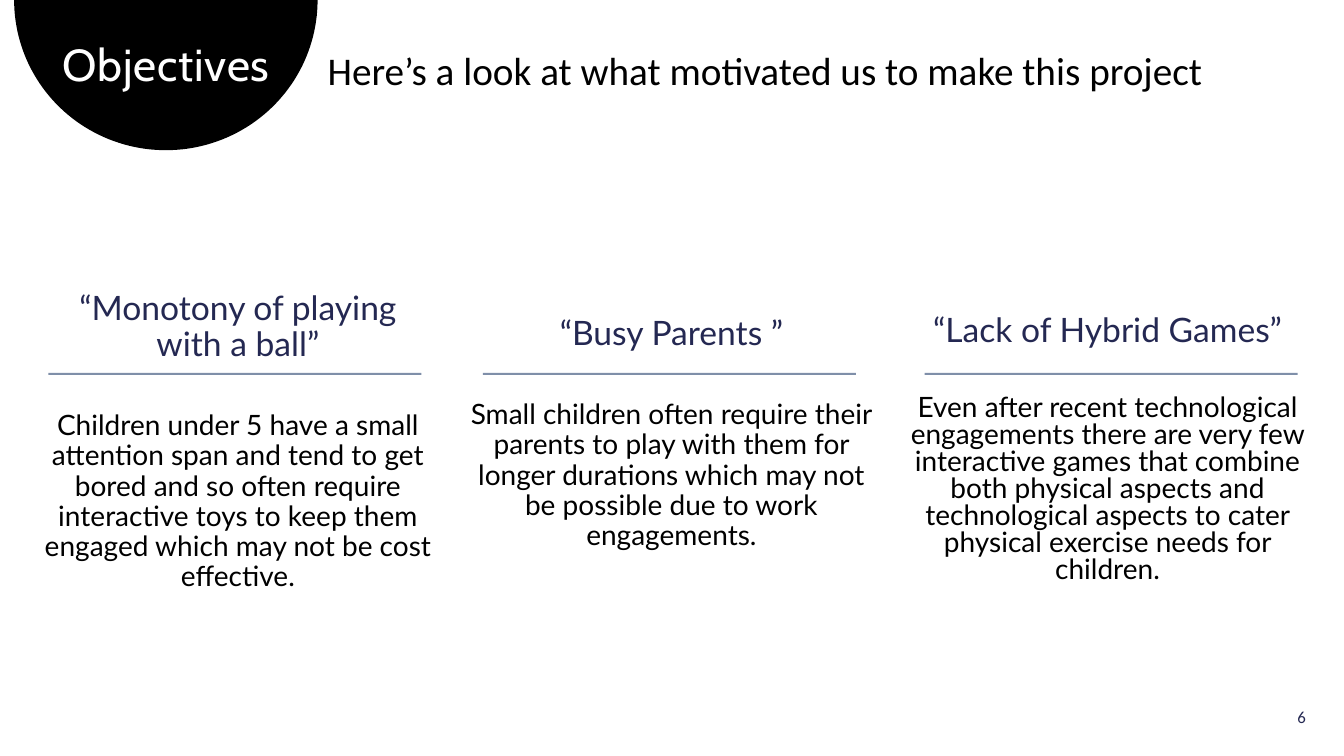
import math
from pptx import Presentation
from pptx.dml.color import RGBColor
from pptx.enum.shapes import MSO_SHAPE
from pptx.enum.text import MSO_ANCHOR, MSO_AUTO_SIZE, PP_ALIGN
from pptx.oxml.ns import qn
from pptx.util import Inches, Pt

RECT = MSO_SHAPE.RECTANGLE
TOP, MIDDLE = MSO_ANCHOR.TOP, MSO_ANCHOR.MIDDLE
NO_AUTOFIT = MSO_AUTO_SIZE.NONE
LEFT, CENTER, RIGHT = PP_ALIGN.LEFT, PP_ALIGN.CENTER, PP_ALIGN.RIGHT
COLORS = {"black": "000000", "white": "FFFFFF", "navy": "242852", "rule": "7F8FA9"}
RULE_TOP, RULE_WIDTH, RULE_HEIGHT = 3.7, 3.7, 0.02

OBJECTIVES = [
    ((0.33, 2.84, 4.06, 3.21), 0.48, 0.9, "“Monotony of playing with a ball”",
     "Children under 5 have a small attention span and tend to get bored and so often "
     "require interactive toys to keep them engaged which may not be cost effective."),
    ((4.56, 3.09, 4.2, 3.34), 4.79, 0.9, "“Busy Parents ”",
     "Small children often require their parents to play with them for longer durations "
     "which may not be possible due to work engagements."),
    ((8.92, 3.09, 4.13, 2.95), 9.17, 0.8, "“Lack of Hybrid Games”",
     "Even after recent technological engagements there are very few interactive games "
     "that combine both physical aspects and technological aspects to cater physical "
     "exercise needs for children."),
]


def rgb(name):
    return RGBColor.from_string(COLORS[name])


def paint(shape, color):
    shape.shadow.inherit = False
    shape.fill.solid()
    shape.fill.fore_color.rgb = rgb(color)
    shape.line.fill.background()


def place(shape, box, anchor=TOP, wrap=True):
    shape.left, shape.top, shape.width, shape.height = (Inches(v) for v in box)
    tf = shape.text_frame
    tf.word_wrap = wrap
    tf.auto_size = NO_AUTOFIT
    tf.vertical_anchor = anchor
    return tf


def write(p, text, size, font, color, align, spacing=1.0, before=0, after=0):
    pPr = p._p.get_or_add_pPr()
    pPr.set("marL", "0")
    pPr.set("indent", "0")
    p.alignment = align
    p.line_spacing = spacing
    p.space_before, p.space_after = Pt(before), Pt(after)
    pPr.append(pPr.makeelement(qn("a:buNone"), {}))
    r = p.add_run()
    r.text = text
    r.font.size = Pt(size)
    r.font.name = font
    r.font.bold = False
    r.font.color.rgb = rgb(color)
    return r


def add_half_disc(s, center_x, radius_x, radius_y, steps=90):
    points = [(Inches(center_x + radius_x * math.cos(math.pi * i / steps)),
               Inches(radius_y * math.sin(math.pi * i / steps)))
              for i in range(steps + 1)]
    builder = s.shapes.build_freeform(*points[0])
    builder.add_line_segments(points[1:], close=True)
    paint(builder.convert_to_shape(), "black")


def add_rule(s, left):
    rule = s.shapes.add_shape(RECT, Inches(left), Inches(RULE_TOP),
                              Inches(RULE_WIDTH), Inches(RULE_HEIGHT))
    paint(rule, "rule")


def fill_objective(body, box, spacing, heading, detail):
    tf = place(body, box)
    write(tf.paragraphs[0], heading, 24, "Lato", "navy", CENTER, spacing, after=24)
    p = tf.add_paragraph()
    p.level = 1
    write(p, detail, 20, "Lato", "black", CENTER, spacing, before=10, after=12)


def add_page_number(s, number):
    box = (12.5, 6.91, 0.55, 0.4)
    sp = s.shapes.add_textbox(*(Inches(v) for v in box))
    tf = place(sp, box, MIDDLE, wrap=False)
    write(tf.paragraphs[0], number, 12, "Calibri", "navy", RIGHT)


def main():
    prs = Presentation()
    prs.slide_width, prs.slide_height = Inches(13.33), Inches(7.5)
    s = prs.slides.add_slide(prs.slide_layouts.get_by_name("Comparison"))
    title, intro, *bodies = s.placeholders

    add_half_disc(s, 1.645, 1.505, 1.49)
    disc = s.shapes[-1]
    s.shapes._spTree.insert(2, disc._element)

    tf = place(title, (0.35, 0.37, 2.6, 0.59), MIDDLE)
    r = write(tf.paragraphs[0], "Objectives", 32, "Cabin", "white", CENTER, 0.9)
    r._r.get_or_add_rPr().set("spc", "60")

    tf = place(intro, (3.15, 0.46, 9.93, 0.83))
    write(tf.paragraphs[0], "Here’s a look at what motivated us to make this project",
          28, "Calibri", "black", LEFT, 0.9)

    for body, (box, rule_left, spacing, heading, detail) in zip(bodies, OBJECTIVES):
        fill_objective(body, box, spacing, heading, detail)
        add_rule(s, rule_left)
    add_page_number(s, "6")
    prs.save("out.pptx")


if __name__ == "__main__":
    main()
